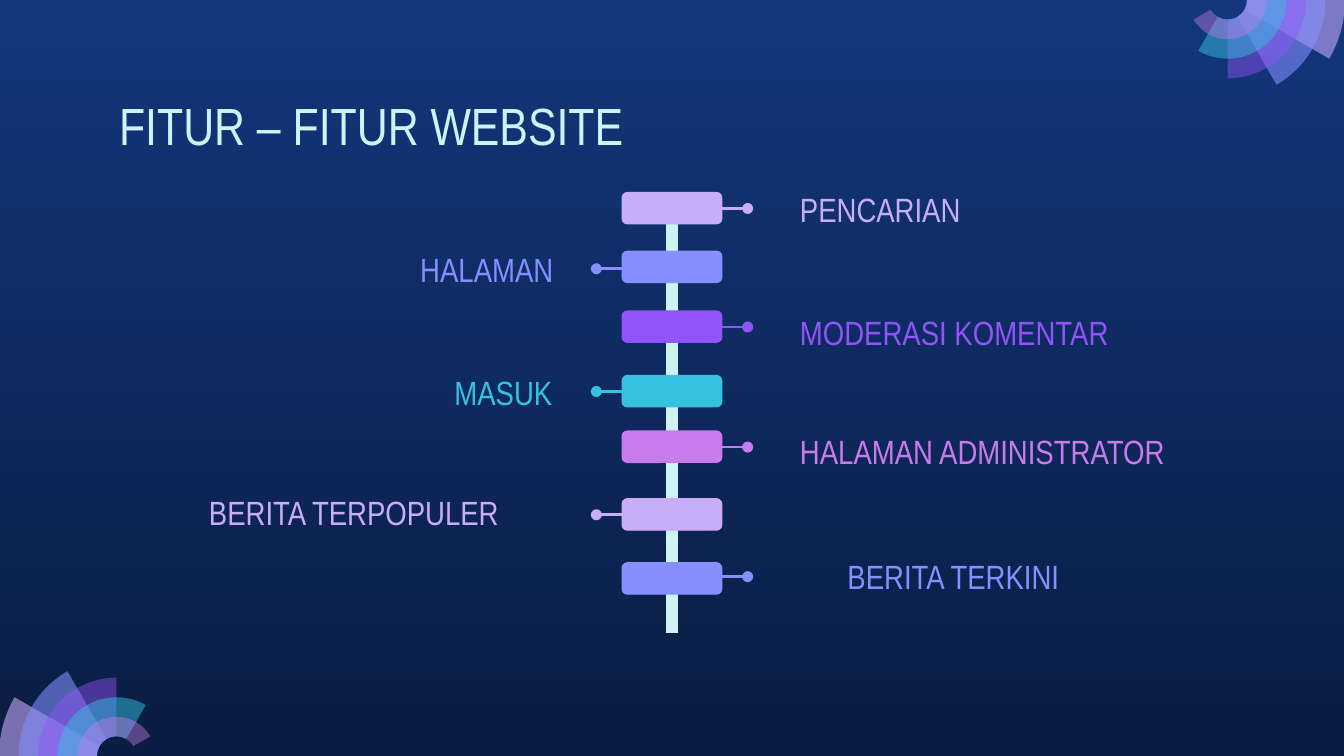
from dataclasses import dataclass
from math import cos, radians, sin, tan

from lxml import etree
from pptx import Presentation
from pptx import util as u
from pptx.dml.color import RGBColor
from pptx.enum import shapes, text
from pptx.oxml.ns import qn

Cm, Pt = u.Cm, u.Pt
Point = tuple[float, float]


@dataclass(frozen=True)
class Theme:
    font: str = "Arial Narrow"
    title_size: int = 28
    label_size: int = 18
    sky: str = "13367C"
    night: str = "0A1D42"
    ice: str = "CEF3F5"
    lilac: str = "C8AEF8"
    pale_lilac: str = "C8ACFD"
    periwinkle: str = "878FFF"
    violet: str = "9154F8"
    cyan: str = "35C2DF"
    orchid: str = "CA7BEB"


@dataclass(frozen=True)
class Feature:
    name: str
    color: str
    bar_top: float
    to_right: bool
    label_left: float
    label_top: float
    label_width: float
    align_right: bool = False
    branch_drop: float = 0.3
    label_height: float = 1.09


@dataclass(frozen=True)
class Petal:
    color: str
    opacity: int


THEME = Theme()
WIDTH, HEIGHT = 25.4, 14.29
CENTER = WIDTH / 2
BAR_WIDTH, BAR_HEIGHT = 1.88, 0.59
BRANCH = 0.49
RING = 0.37
FAN_RADIUS = 2.2

FEATURES = [
    Feature("PENCARIAN", THEME.lilac, 3.64, True, 14.87, 3.32, 5.38),
    Feature("HALAMAN", THEME.periwinkle, 4.75, False, 5.33, 4.45, 5.38, True, 0.33),
    Feature("MODERASI KOMENTAR", THEME.violet, 5.88, True, 14.87, 5.64, 8.31),
    Feature("MASUK", THEME.cyan, 7.1, False, 5.31, 6.79, 5.38, True),
    Feature("HALAMAN ADMINISTRATOR", THEME.orchid, 8.15, True, 14.87, 7.9, 9.47),
    Feature("BERITA TERPOPULER", THEME.lilac, 9.43, False, 3.7, 9.04, 7.82, label_height=1.19),
    Feature("BERITA TERKINI", THEME.periwinkle, 10.64, True, 13.64, 10.26, 6.63, True, 0.26),
]

PETALS = [
    Petal(THEME.pale_lilac, 58),
    Petal(THEME.periwinkle, 58),
    Petal(THEME.violet, 46),
    Petal(THEME.cyan, 49),
    Petal(THEME.orchid, 42),
]


def rgb(color: str) -> RGBColor:
    return RGBColor.from_string(color)


def write_text(shape, content: str, *, size: int, color: str,
               align_right: bool = False, space_after: int = 0) -> None:
    frame = shape.text_frame
    frame.word_wrap = True
    frame.auto_size = text.MSO_AUTO_SIZE.NONE
    frame.vertical_anchor = text.MSO_ANCHOR.TOP
    frame.margin_left = frame.margin_right = Cm(0.25)
    frame.margin_top = frame.margin_bottom = Cm(0.25)
    paragraph = frame.paragraphs[0]
    paragraph.alignment = text.PP_ALIGN.RIGHT if align_right else text.PP_ALIGN.LEFT
    paragraph.space_after = Pt(space_after)
    run = paragraph.add_run()
    run.text = content
    run.font.name = THEME.font
    run.font.size = Pt(size)
    run.font.color.rgb = rgb(color)


def add_line(parent, start: Point, end: Point, color: str, width: float,
             dot: bool = False) -> None:
    line = parent.shapes.add_connector(
        shapes.MSO_CONNECTOR.STRAIGHT, *(Cm(value) for value in (*start, *end)))
    line.line.color.rgb = rgb(color)
    line.line.width = Pt(width)
    properties = line._element.spPr
    if dot:
        etree.SubElement(properties.find(qn("a:ln")), qn("a:tailEnd"), type="oval")
    etree.SubElement(properties, qn("a:effectLst"))


def arc_points(center: Point, radius: float, stops: list[int]) -> list[Point]:
    """Give the start of an arc, then three Bézier points for each stretch of it."""
    def polar(angle: float, pull: float = 0) -> Point:
        x, y = cos(radians(angle)), sin(radians(angle))
        return center[0] + radius * (x - pull * y), center[1] + radius * (y + pull * x)

    points = [polar(stops[0])]
    for first, last in zip(stops, stops[1:]):
        pull = 4 / 3 * tan(radians(last - first) / 4)
        points += [polar(first, pull), polar(last, -pull), polar(last)]
    return points


def add_petal(fan, center: Point, base: int, index: int, petal: Petal) -> None:
    """Draw a ring sector; each next petal is a ring smaller and 30 degrees wider."""
    sweep = 30 * (index + 1)
    stops = [base + angle for angle in sorted({0, min(sweep, 90), sweep})]
    outer = arc_points(center, RING * (len(PETALS) + 1 - index), stops)
    inner = arc_points(center, RING, stops[::-1])
    points = [(Cm(x), Cm(y)) for x, y in outer + inner]
    builder = fan.shapes.build_freeform(*points[0])
    builder.add_line_segments(points[1:])
    shape = builder.convert_to_shape()
    shape.shadow.inherit = False
    shape.fill.solid()
    shape.fill.fore_color.rgb = rgb(petal.color)
    shape.line.fill.background()
    color = shape._element.spPr.find(qn("a:solidFill"))[0]
    etree.SubElement(color, qn("a:alpha"), val=str(petal.opacity * 1000))

    # Turn each three arc points into one curve
    segments = list(shape._element.iter(qn("a:lnTo")))
    join = len(outer) - 1
    for arc in (segments[:join], segments[join + 1:]):
        for start in range(0, len(arc), 3):
            curve = etree.Element(qn("a:cubicBezTo"))
            arc[start].addprevious(curve)
            for segment in arc[start:start + 3]:
                curve.append(segment[0])
                segment.getparent().remove(segment)


def add_feature(slide, feature: Feature) -> None:
    group = slide.shapes.add_group_shape()
    bar = group.shapes.add_shape(
        shapes.MSO_SHAPE.ROUNDED_RECTANGLE, Cm(CENTER - BAR_WIDTH / 2),
        Cm(feature.bar_top), Cm(BAR_WIDTH), Cm(BAR_HEIGHT))
    bar.shadow.inherit = False
    bar.fill.solid()
    bar.fill.fore_color.rgb = rgb(feature.color)
    bar.line.color.rgb = rgb(feature.color)
    bar.line.width = Pt(0.75)

    side = 1 if feature.to_right else -1
    edge = CENTER + side * BAR_WIDTH / 2
    middle = feature.bar_top + feature.branch_drop
    add_line(group, (edge, middle), (edge + side * BRANCH, middle), feature.color, 1.5, dot=True)

    label = slide.shapes.add_textbox(
        Cm(feature.label_left), Cm(feature.label_top),
        Cm(feature.label_width), Cm(feature.label_height))
    write_text(label, feature.name, size=THEME.label_size, color=feature.color,
               align_right=feature.align_right, space_after=16)


presentation = Presentation()
presentation.slide_width, presentation.slide_height = Cm(WIDTH), Cm(HEIGHT)
slide = presentation.slides.add_slide(presentation.slide_layouts[5])

# Background
background = slide.background.fill
background.gradient()
background.gradient_angle = 270
for stop, position, color in zip(background.gradient_stops, (0, 1), (THEME.sky, THEME.night)):
    stop.position = position
    stop.color.rgb = rgb(color)

# Corner fans
for center, base in (((FAN_RADIUS, HEIGHT), 180), ((WIDTH - FAN_RADIUS, 0), 0)):
    fan = slide.shapes.add_group_shape()
    for index, petal in enumerate(PETALS):
        add_petal(fan, center, base, index, petal)

# Title
title = slide.shapes.title
title.left, title.top, title.width, title.height = Cm(2), Cm(1.52), Cm(21.41), Cm(1.6)
write_text(title, "FITUR – FITUR WEBSITE", size=THEME.title_size, color=THEME.ice)

# Stem and features
add_line(slide, (CENTER, 3.63), (CENTER, 11.96), THEME.ice, 6)
for feature in FEATURES:
    add_feature(slide, feature)

presentation.save("out.pptx")
